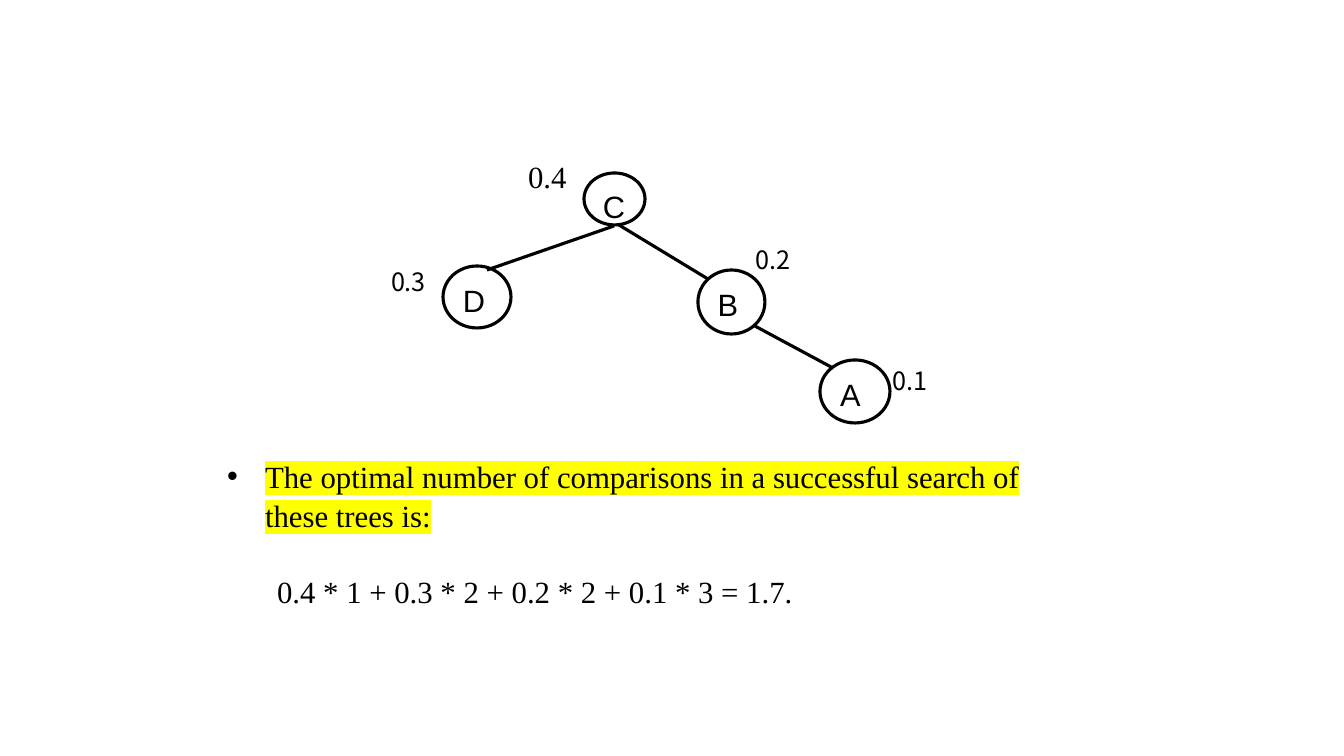
from dataclasses import dataclass
from lxml import etree
from pptx import Presentation
from pptx import util as u
from pptx.dml.color import RGBColor
from pptx.enum import shapes, text
from pptx.oxml.ns import qn

PX = 914400 / 100.8


@dataclass(frozen=True)
class Theme:
    ink: str = "000000"
    paper: str = "FFFFFF"
    marker: str = "FFFF00"
    node_font: str = "Arial"
    body_font: str = "Times New Roman"
    weight_font: str = "Noto Sans CJK SC"
    large: int = 22
    small: int = 18
    stroke: float = 2.25
    leading: float = 1.05


THEME = Theme()

# Letter and left, top, width, height in px
NODES = [
    ("C", (584, 173, 61, 52)),
    ("D", (443, 266, 68, 62)),
    ("B", (698, 270, 67, 64)),
    ("A", (820, 360, 70, 63)),
]
EDGES = [
    ((614, 226), (487, 270)),
    ((619, 225), (708, 279)),
    ((753, 325), (833, 368)),
]
ROOT_WEIGHT = ("0.4", (528, 152, 39, 47))
WEIGHTS = [
    ("0.3", (391, 261, 36, 40)),
    ("0.2", (756, 239, 36, 40)),
    ("0.1", (893, 360, 36, 40)),
]
STATEMENT = "The optimal number of comparisons in a successful search of these trees is:"
FORMULA = "0.4 * 1 + 0.3 * 2 + 0.2 * 2 + 0.1 * 3 = 1.7."
BODY_BOX = (217, 451, 876, 159)
BULLET_INDENT = 38
FORMULA_INDENT = 50
FORMULA_GAP = 37


def px(length):
    return u.Emu(round(length * PX))


def color(value):
    return RGBColor.from_string(value)


def add_run(paragraph, words, font, size):
    run = paragraph.add_run()
    run.text = words
    run.font.name = font
    run.font.size = u.Pt(size)
    run.font.color.rgb = color(THEME.ink)
    return run


def highlight(run):
    mark = etree.Element(qn("a:highlight"))
    etree.SubElement(mark, qn("a:srgbClr"), val=THEME.marker)
    run.font.fill._xPr.find(qn("a:solidFill")).addnext(mark)


def indent(paragraph, left, first, bullet=None):
    """Set the left margin and first-line offset in px, with or without a bullet."""
    properties = paragraph._p.get_or_add_pPr()
    properties.set("marL", str(px(left)))
    properties.set("indent", str(px(first)))
    if bullet:
        etree.SubElement(properties, qn("a:buFont"), typeface=THEME.node_font)
        etree.SubElement(properties, qn("a:buChar"), char=bullet)
    else:
        etree.SubElement(properties, qn("a:buNone"))


def add_node(slide, letter, box):
    shape = slide.shapes.add_shape(shapes.MSO_SHAPE.OVAL, *map(px, box))
    shape.shadow.inherit = False
    shape.fill.solid()
    shape.fill.fore_color.rgb = color(THEME.paper)
    shape.line.color.rgb = color(THEME.ink)
    shape.line.width = u.Pt(THEME.stroke)
    frame = shape.text_frame
    frame.vertical_anchor = text.MSO_ANCHOR.TOP
    paragraph = frame.paragraphs[0]
    paragraph.alignment = text.PP_ALIGN.LEFT
    paragraph.line_spacing = THEME.leading
    add_run(paragraph, letter, THEME.node_font, THEME.large)


def add_edge(slide, start, end):
    line = slide.shapes.add_connector(
        shapes.MSO_CONNECTOR.STRAIGHT, *map(px, start + end))
    line.line.color.rgb = color(THEME.ink)
    line.line.width = u.Pt(THEME.stroke)
    etree.SubElement(line._element.spPr, qn("a:effectLst"))


def add_weight(slide, value, box, font, size, leading=1.0):
    frame = slide.shapes.add_textbox(*map(px, box)).text_frame
    frame.word_wrap = False
    frame.margin_left = frame.margin_right = 0
    frame.vertical_anchor = text.MSO_ANCHOR.MIDDLE
    paragraph = frame.paragraphs[0]
    paragraph.line_spacing = leading
    add_run(paragraph, value, font, size)


def fill_body(body):
    body.left, body.top, body.width, body.height = map(px, BODY_BOX)
    frame = body.text_frame
    frame.auto_size = text.MSO_AUTO_SIZE.NONE
    frame.word_wrap = True
    frame.vertical_anchor = text.MSO_ANCHOR.TOP
    statement, formula = frame.paragraphs[0], frame.add_paragraph()
    indent(statement, BULLET_INDENT, -BULLET_INDENT, "•")
    indent(formula, 0, FORMULA_INDENT)
    for paragraph, gap in ((statement, 0), (formula, FORMULA_GAP)):
        paragraph.line_spacing = THEME.leading
        paragraph.space_before = px(gap)
        paragraph.space_after = 0
    highlight(add_run(statement, STATEMENT, THEME.body_font, THEME.large))
    add_run(formula, FORMULA, THEME.body_font, THEME.large)


def main():
    presentation = Presentation()
    presentation.slide_width, presentation.slide_height = px(1344), px(756)
    slide = presentation.slides.add_slide(presentation.slide_layouts[1])
    title = slide.shapes.title._element
    title.getparent().remove(title)
    for letter, box in NODES:
        add_node(slide, letter, box)
    for start, end in EDGES:
        add_edge(slide, start, end)
    add_weight(slide, *ROOT_WEIGHT, THEME.body_font, THEME.large, THEME.leading)
    for value, box in WEIGHTS:
        add_weight(slide, value, box, THEME.weight_font, THEME.small)
    fill_body(slide.placeholders[1])
    presentation.save("out.pptx")


if __name__ == "__main__":
    main()
